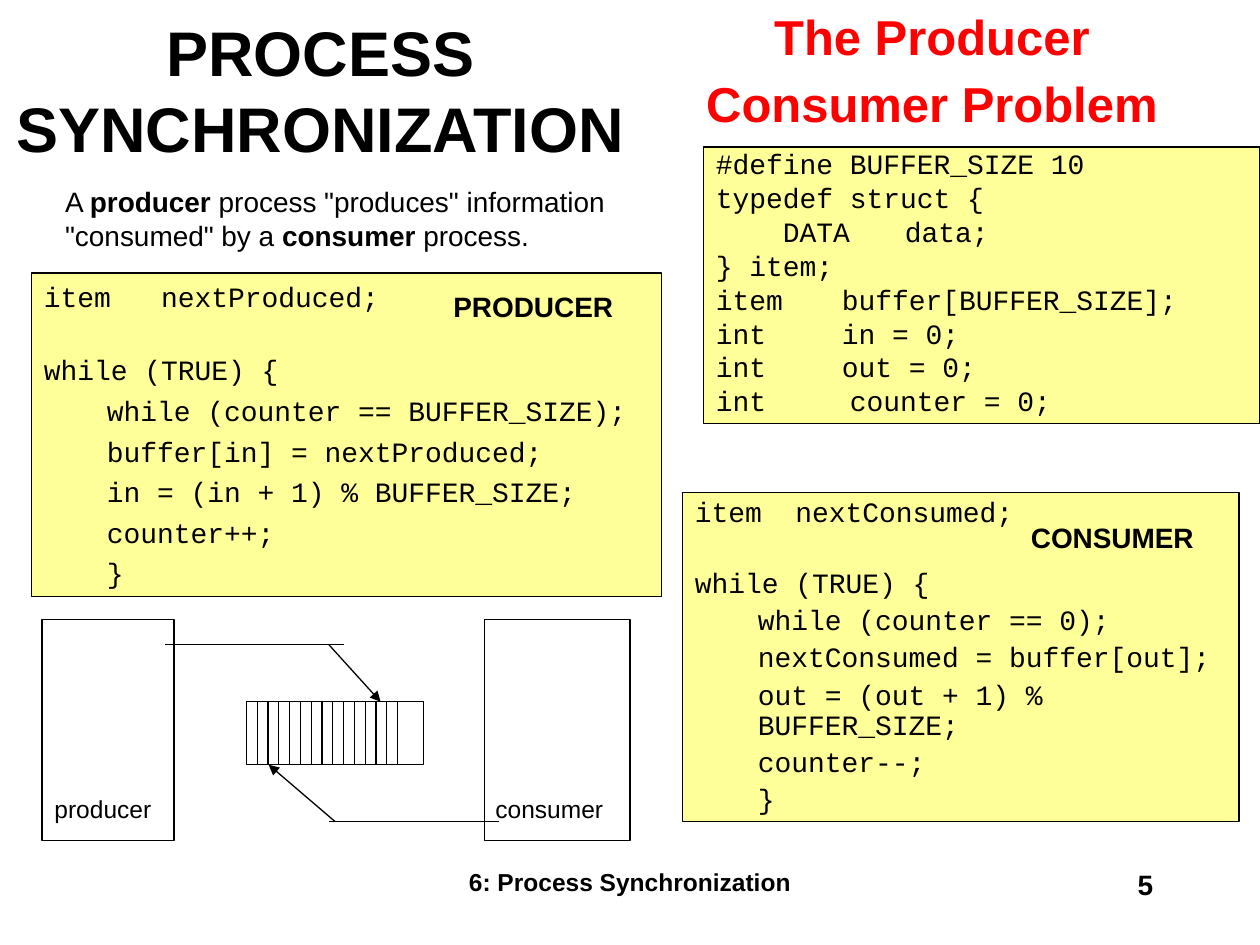
from lxml.etree import SubElement
from pptx import Presentation
from pptx.dml.color import RGBColor
from pptx.enum.shapes import MSO_CONNECTOR, MSO_SHAPE
from pptx.enum.text import MSO_ANCHOR, MSO_AUTO_SIZE, PP_ALIGN
from pptx.oxml.ns import qn
from pptx.util import Pt

BLACK, RED, YELLOW = "000000", "FF0000", "FFFF99"


def color(value):
    return RGBColor.from_string(value)


class SlideBuilder:
    """Draws styled elements on one slide, with all lengths in points."""

    sans, mono = "Arial", "Courier New"
    line_width = 0.75
    indent = 36

    def __init__(self, slide):
        self.slide = slide

    def add_run(self, para, text, size, bold=False, ink=BLACK, font=sans):
        span = para.add_run()
        span.text = text
        span.font.name = font
        span.font.size = Pt(size)
        span.font.bold = bold
        span.font.color.rgb = color(ink)

    def prepare(self, frame, wrap=True, anchor=MSO_ANCHOR.TOP):
        frame.auto_size = MSO_AUTO_SIZE.NONE
        frame.word_wrap = wrap
        frame.vertical_anchor = anchor

    def paragraph(self, frame, index, align=PP_ALIGN.LEFT, before=0, spacing=1.0):
        para = frame.add_paragraph() if index else frame.paragraphs[0]
        para.alignment = align
        para.space_before = Pt(before)
        para.line_spacing = spacing
        return para

    def placeholder(self, index, area, spans, size, align, anchor):
        box = self.slide.placeholders[index]
        box.left, box.top, box.width, box.height = map(Pt, area)
        self.prepare(box.text_frame, anchor=anchor)
        para = self.paragraph(box.text_frame, 0, align)
        for text, bold in spans:
            self.add_run(para, text, size, bold)

    def label(self, area, lines, size, bold=True, ink=BLACK, align=PP_ALIGN.LEFT, before=0):
        box = self.slide.shapes.add_textbox(*map(Pt, area))
        self.prepare(box.text_frame, wrap=False)
        for index, text in enumerate(lines):
            para = self.paragraph(box.text_frame, index, align, before)
            self.add_run(para, text, size, bold, ink)

    def rectangle(self, area, fill=None):
        box = self.slide.shapes.add_shape(MSO_SHAPE.RECTANGLE, *map(Pt, area))
        box.shadow.inherit = False
        if fill:
            box.fill.solid()
            box.fill.fore_color.rgb = color(fill)
        else:
            box.fill.background()
        box.line.color.rgb = color(BLACK)
        box.line.width = Pt(self.line_width)
        return box

    def code(self, area, lines, spacing=1.0):
        frame = self.rectangle(area, YELLOW).text_frame
        self.prepare(frame)
        for index, (text, level, before) in enumerate(lines):
            para = self.paragraph(frame, index, before=before, spacing=spacing)
            if level:
                para.level = level
                properties = para._p.get_or_add_pPr()
                properties.set("marL", str(Pt(self.indent * level)))
                properties.set("indent", "0")
            self.add_run(para, text, 16, font=self.mono)

    def line(self, start, end, arrow=False):
        line = self.slide.shapes.add_connector(
            MSO_CONNECTOR.STRAIGHT, *map(Pt, (*start, *end)))
        line.line.color.rgb = color(BLACK)
        line.line.width = Pt(self.line_width)
        if arrow:
            SubElement(line.line._get_or_add_ln(), qn("a:tailEnd"), type="triangle")
        SubElement(line._element.spPr, qn("a:effectLst"))


def loop_code(declaration, body):
    head = [(declaration, 0, 4), ("while (TRUE) {", 0, 23)]
    return head + [(text, 1, 4) for text in (*body, "}")]


def main():
    deck = Presentation()
    deck.slide_width, deck.slide_height = Pt(720), Pt(540)
    page = SlideBuilder(deck.slides.add_slide(deck.slide_layouts[0]))

    page.label((246, 492, 228, 36), ["6: Process Synchronization"], 14, align=PP_ALIGN.CENTER)
    page.label((516, 492, 150, 36), ["5"], 16, align=PP_ALIGN.RIGHT)
    page.placeholder(0, (0, 18, 366, 66), [("PROCESS SYNCHRONIZATION", True)],
                     36, PP_ALIGN.CENTER, MSO_ANCHOR.MIDDLE)
    summary = [("A ", False), ("producer", True),
               (' process "produces" information "consumed" by a ', False),
               ("consumer", True), (" process.", False)]
    page.placeholder(1, (30, 102, 348, 48), summary, 16, PP_ALIGN.LEFT, MSO_ANCHOR.TOP)
    page.label((396, 0, 273, 81), ["The Producer", "Consumer Problem"], 28,
               ink=RED, align=PP_ALIGN.CENTER, before=5)

    page.code((18, 156, 360, 185), loop_code("item   nextProduced;", [
        "while (counter == BUFFER_SIZE);", "buffer[in] = nextProduced;",
        "in = (in + 1) % BUFFER_SIZE;", "counter++;"]))
    page.code((390, 281.5, 318, 188), loop_code("item  nextConsumed;", [
        "while (counter == 0);", "nextConsumed = buffer[out];",
        "out = (out + 1) % BUFFER_SIZE;", "counter--;"]), 0.9)
    declarations = ["#define BUFFER_SIZE 10", "typedef struct {", "    DATA\tdata;",
                    "} item;", "item \tbuffer[BUFFER_SIZE];", "int \tin = 0;",
                    "int \tout = 0;", "int     counter = 0;"]
    page.code((402, 84, 318, 158), [(text, 0, 4) for text in declarations], 0.8)
    page.label((252, 162, 106, 27), ["PRODUCER"], 16, before=2)
    page.label((582, 294, 107, 27), ["CONSUMER"], 16, before=2)

    page.rectangle((24, 354, 75.5, 126.5))
    page.rectangle((277, 354, 83, 126.5))
    page.rectangle((141, 401, 101, 36))
    for slot in range(7):
        page.rectangle((147 + 12.33 * slot, 401, 6.2, 36))

    page.line((94.5, 368.5), (196.5, 368.5))
    page.line((285, 469.5), (188, 469.5))
    page.line((188, 368.5), (217.5, 401), arrow=True)
    page.line((191.5, 469.5), (153.5, 437), arrow=True)
    page.label((24, 450, 96, 24), ["producer"], 14, bold=False)
    page.label((276, 450, 98, 24), ["consumer"], 14, bold=False)

    deck.save("out.pptx")


if __name__ == "__main__":
    main()
